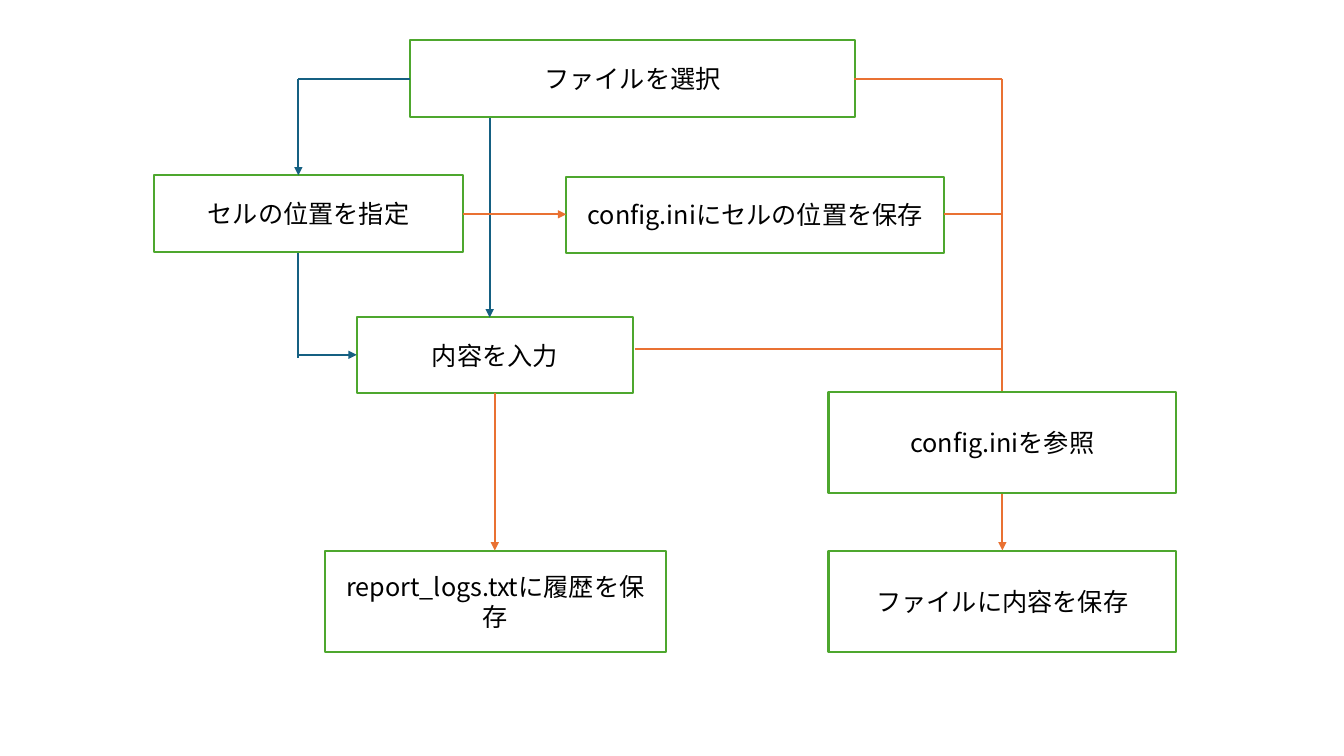
from lxml.etree import SubElement
from pptx import Presentation
from pptx.dml.color import RGBColor
from pptx.enum.shapes import MSO_CONNECTOR, MSO_SHAPE
from pptx.enum.text import MSO_ANCHOR, PP_ALIGN
from pptx.oxml.ns import qn
from pptx.util import Cm, Pt

WHITE = RGBColor(0xFF, 0xFF, 0xFF)
BLACK = RGBColor(0x00, 0x00, 0x00)
GREEN = RGBColor(0x4E, 0xA7, 0x2E)
BLUE = RGBColor(0x15, 0x60, 0x82)
ORANGE = RGBColor(0xE9, 0x71, 0x32)

STEP_HEIGHT = 1.93
OUTPUT_HEIGHT = 2.54
OUTPUT_TOP = 13.89
SAVE_LEFT, SAVE_WIDTH = 20.88, 8.76

INPUT_X = 7.52    # blue vertical on the left
SAVE_X = 25.26    # orange vertical on the right
SELECT_Y = 1.98   # middle of the top box
CELL_Y = 5.4      # middle of the second row


class FlowChart:
    font = "Noto Sans CJK JP"
    text_size = Pt(18)
    line_width = Pt(1.5)

    def __init__(self, slide):
        self.slide = slide

    def box(self, text, left, top, width, height=STEP_HEIGHT):
        step = self.slide.shapes.add_shape(
            MSO_SHAPE.RECTANGLE, Cm(left), Cm(top), Cm(width), Cm(height))
        step.shadow.inherit = False
        step.fill.solid()
        step.fill.fore_color.rgb = WHITE
        step.line.color.rgb = GREEN
        step.line.width = self.line_width
        frame = step.text_frame
        frame.word_wrap = True
        frame.vertical_anchor = MSO_ANCHOR.MIDDLE
        paragraph = frame.paragraphs[0]
        paragraph.alignment = PP_ALIGN.CENTER
        run = paragraph.add_run()
        run.text = text
        run.font.size = self.text_size
        run.font.name = self.font
        run.font.color.rgb = BLACK
        # Japanese glyphs take the East Asian typeface
        SubElement(run.font._element, qn("a:ea"), typeface=self.font)

    def line(self, color, start, end, arrow=False):
        link = self.slide.shapes.add_connector(
            MSO_CONNECTOR.STRAIGHT, *(Cm(value) for value in (*start, *end)))
        link.line.color.rgb = color
        link.line.width = self.line_width
        properties = link._element.spPr
        if arrow:
            SubElement(properties.find(qn("a:ln")), qn("a:tailEnd"), type="triangle")
        SubElement(properties, qn("a:effectLst"))

    def arrow(self, color, start, end):
        self.line(color, start, end, arrow=True)


def main():
    deck = Presentation()
    deck.slide_width, deck.slide_height = Cm(33.87), Cm(19.05)
    chart = FlowChart(deck.slides.add_slide(deck.slide_layouts[6]))

    chart.box("ファイルを選択", 10.34, 1.02, 11.2)
    chart.box("セルの位置を指定", 3.89, 4.42, 7.77)
    chart.box("内容を入力", 8.99, 7.98, 6.96)
    chart.box("config.iniにセルの位置を保存", 14.27, 4.45, 9.53)
    chart.box("report_logs.txtに履歴を保存", 8.18, OUTPUT_TOP, 8.61, OUTPUT_HEIGHT)
    chart.box("ファイルに内容を保存", SAVE_LEFT, OUTPUT_TOP, SAVE_WIDTH, OUTPUT_HEIGHT)

    # Input steps
    chart.line(BLUE, (10.34, SELECT_Y), (INPUT_X, SELECT_Y))
    chart.arrow(BLUE, (INPUT_X, SELECT_Y), (INPUT_X, 4.42))
    chart.line(BLUE, (INPUT_X, 6.38), (INPUT_X, 9.02))
    chart.arrow(BLUE, (INPUT_X, 8.94), (8.99, 8.94))
    chart.arrow(BLUE, (12.34, 2.97), (12.34, 8))

    # Saving steps
    chart.arrow(ORANGE, (11.66, CELL_Y), (14.27, CELL_Y))
    chart.arrow(ORANGE, (12.47, 9.91), (12.47, 13.87))
    chart.line(ORANGE, (21.53, SELECT_Y), (SAVE_X, SELECT_Y))
    chart.line(ORANGE, (23.8, CELL_Y), (SAVE_X, CELL_Y))
    chart.line(ORANGE, (16, 8.79), (SAVE_X, 8.79))
    chart.arrow(ORANGE, (SAVE_X, SELECT_Y), (SAVE_X, 13.87))

    # Sits over the line that runs down to the last step
    chart.box("config.iniを参照", SAVE_LEFT, 9.88, SAVE_WIDTH, OUTPUT_HEIGHT)

    deck.save("out.pptx")


if __name__ == "__main__":
    main()
